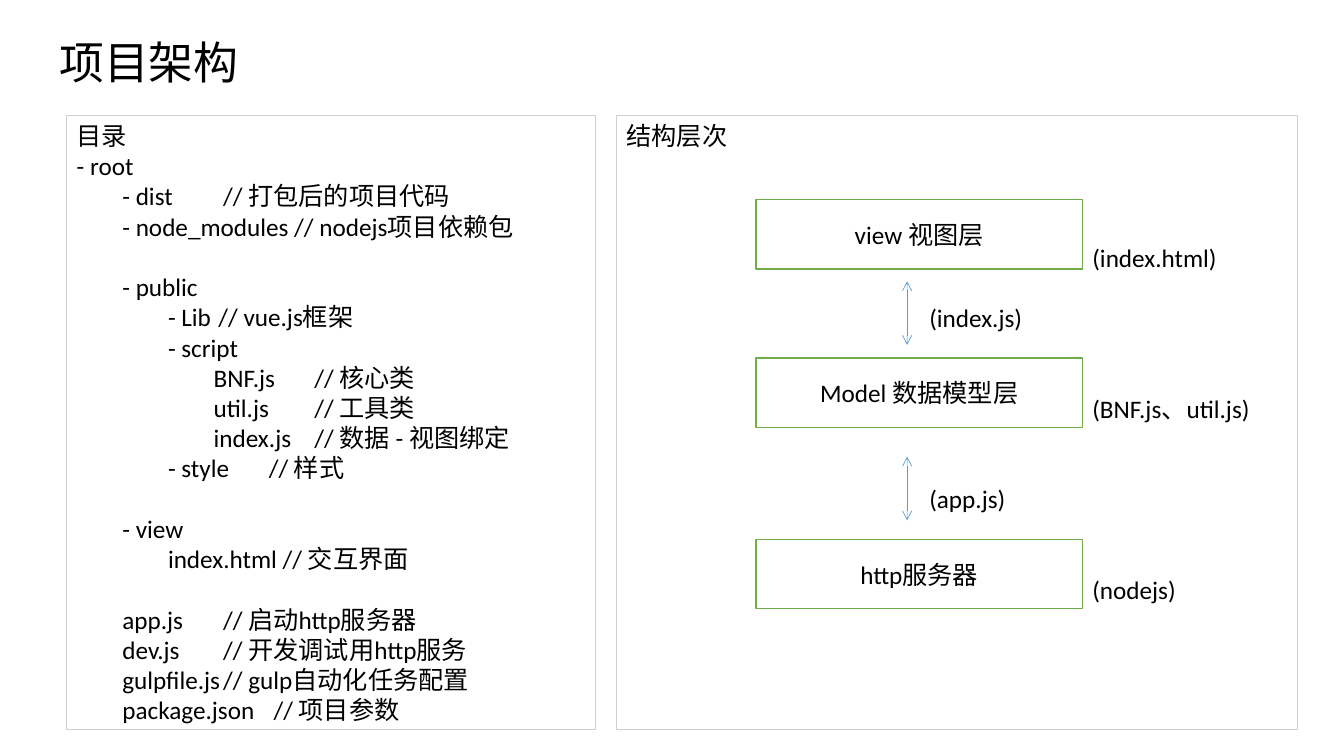
from lxml import etree
from pptx import Presentation
from pptx import util as u
from pptx.dml.color import RGBColor
from pptx.enum import shapes, text
from pptx.oxml import ns

BLACK = RGBColor(0x00, 0x00, 0x00)
WHITE = RGBColor(0xFF, 0xFF, 0xFF)
GRAY = RGBColor(0xD0, 0xCE, 0xCE)
GREEN = RGBColor(0x70, 0xAD, 0x47)
BLUE = RGBColor(0x5B, 0x9B, 0xD5)

PANEL_TOP, PANEL_HEIGHT = 2.9, 15.49
LAYER_LEFT, LAYER_WIDTH, LAYER_HEIGHT = 19.05, 8.23, 1.75
FILE_LEFT, LINK_LEFT, ARROW_X, ARROW_LENGTH = 27.53, 23.42, 22.86, 1.6

DIRECTORY = [
    (0, "目录", "", 0, False),
    (0, "- root", "", 0, False),
    (1, "- dist", "// 打包后的项目代码", 4.67 - 2, False),
    (1, "- node_modules // nodejs项目依赖包", "", 0, False),
    (1, "- public", "", 0, True),
    (2, "- Lib", "// vue.js框架", 3.93, False),
    (2, "- script", "", 0, False),
    (3, "BNF.js", "// 核心类", 5.42, False),
    (3, "util.js", "// 工具类", 5.42, False),
    (3, "index.js", "// 数据 - 视图绑定", 5.68, False),
    (2, "- style", "// 样式", 4.12, False),
    (1, "- view", "", 0, True),
    (2, "index.html // 交互界面", "", 0, False),
    (1, "app.js", "// 启动http服务器", 4.9, True),
    (1, "dev.js", "// 开发调试用http服务", 4.9, False),
    (1, "gulpfile.js", "// gulp自动化任务配置", 4.9, False),
    (1, "package.json", "// 项目参数", 4.9, False),
]
LAYERS = [
    (5.03, "view 视图层", 6.1, "(index.html)"),
    (9.02, "Model 数据模型层", 9.91, "(BNF.js、util.js)"),
    (13.59, "http服务器", 14.48, "(nodejs)"),
]
LINKS = [(7.09, 7.62, "(index.js)"), (11.51, 12.19, "(app.js)")]


class SlideBuilder:
    """Holds the text style and the current slide, and adds its elements."""

    font, size, pitch, indent = "Calibri", 18, 21.6, 1.15

    def __init__(self, slide):
        self.slide = slide

    def place(self, item, left, top, width, height):
        item.left, item.top = u.Cm(left), u.Cm(top)
        item.width, item.height = u.Cm(width), u.Cm(height)

    def run(self, paragraph, words, size=None):
        run = paragraph.add_run()
        run.text = words
        run.font.name = self.font
        run.font.size = u.Pt(size or self.size)
        run.font.color.rgb = BLACK

    def frame(self, item, anchor=text.MSO_ANCHOR.TOP):
        frame = item.text_frame
        frame.word_wrap = True
        frame.auto_size = text.MSO_AUTO_SIZE.NONE
        frame.vertical_anchor = anchor
        return frame

    def title(self, words):
        title = self.slide.shapes.title
        self.place(title, 1.24, 0.76, 11.38, 1.6)
        paragraph = self.frame(title, text.MSO_ANCHOR.MIDDLE).paragraphs[0]
        paragraph.alignment = text.PP_ALIGN.LEFT
        self.run(paragraph, words, 32)

    def directory(self, entries):
        body = self.slide.placeholders[1]
        self.place(body, 1.68, PANEL_TOP, 13.34, PANEL_HEIGHT)
        body.line.color.rgb = GRAY
        body.line.width = u.Pt(0.75)
        frame = self.frame(body)
        for index, (level, name, note, stop, gap) in enumerate(entries):
            paragraph = frame.paragraphs[0] if index == 0 else frame.add_paragraph()
            paragraph.line_spacing = u.Pt(self.pitch)
            paragraph.space_before = u.Pt(self.pitch if gap else 0)
            settings = paragraph._p.get_or_add_pPr()
            settings.set("marL", str(u.Cm(level * self.indent)))
            settings.set("indent", "0")
            etree.SubElement(settings, ns.qn("a:buNone"))
            if note:
                stops = etree.SubElement(settings, ns.qn("a:tabLst"))
                etree.SubElement(stops, ns.qn("a:tab"), pos=str(u.Cm(stop)), algn="l")
            self.run(paragraph, name)
            if note:
                self.run(paragraph, "\t" + note)

    def box(self, words, left, top, width, height, line, weight, anchor, align):
        box = self.slide.shapes.add_shape(
            shapes.MSO_SHAPE.RECTANGLE, *map(u.Cm, (left, top, width, height)))
        box.shadow.inherit = False
        box.fill.solid()
        box.fill.fore_color.rgb = WHITE
        box.line.color.rgb = line
        box.line.width = u.Pt(weight)
        paragraph = self.frame(box, anchor).paragraphs[0]
        paragraph.alignment = align
        self.run(paragraph, words)

    def label(self, words, left, top):
        label = self.slide.shapes.add_textbox(*map(u.Cm, (left, top, 4.9, 0.76)))
        frame = self.frame(label)
        frame.margin_left = frame.margin_right = 0
        frame.margin_top = frame.margin_bottom = 0
        self.run(frame.paragraphs[0], words)

    def arrow(self, x, top, length):
        arrow = self.slide.shapes.add_connector(
            shapes.MSO_CONNECTOR.STRAIGHT, *map(u.Cm, (x, top, x, top + length)))
        arrow.line.color.rgb = BLUE
        arrow.line.width = u.Pt(0.5)
        line = arrow.line._get_or_add_ln()
        for end in ("a:headEnd", "a:tailEnd"):
            etree.SubElement(line, ns.qn(end), type="arrow")
        etree.SubElement(arrow._element.spPr, ns.qn("a:effectLst"))


deck = Presentation()
deck.slide_width, deck.slide_height = u.Cm(33.87), u.Cm(19.05)
page = SlideBuilder(deck.slides.add_slide(deck.slide_layouts[1]))
page.title("项目架构")
page.directory(DIRECTORY)
page.box("结构层次", 15.54, PANEL_TOP, 17.15, PANEL_HEIGHT, GRAY, 0.75,
         text.MSO_ANCHOR.TOP, text.PP_ALIGN.LEFT)
for top, layer, file_top, files in LAYERS:
    page.box(layer, LAYER_LEFT, top, LAYER_WIDTH, LAYER_HEIGHT, GREEN, 1,
             text.MSO_ANCHOR.MIDDLE, text.PP_ALIGN.CENTER)
    page.label(files, FILE_LEFT, file_top)
for top, link_top, link in LINKS:
    page.arrow(ARROW_X, top, ARROW_LENGTH)
    page.label(link, LINK_LEFT, link_top)
deck.save("out.pptx")
